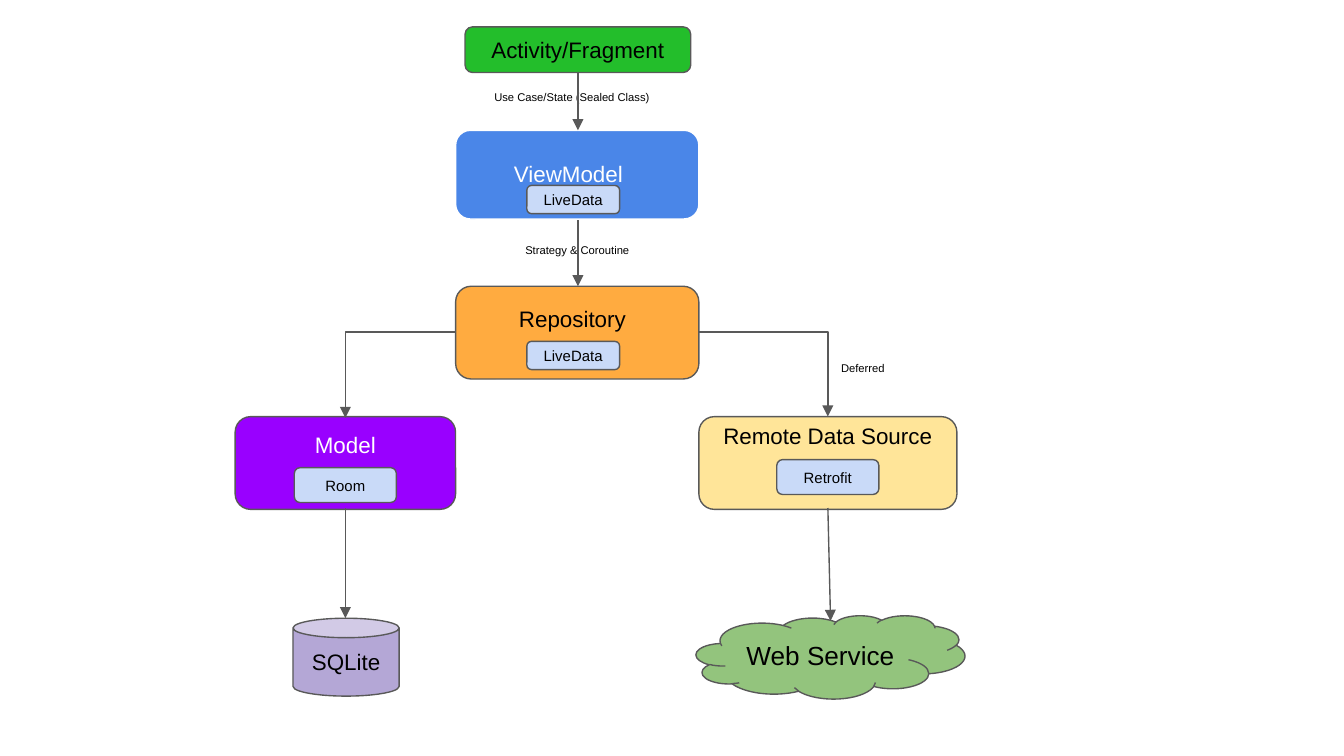
from collections import namedtuple

from lxml import etree
from pptx import Presentation
from pptx.dml.color import RGBColor
from pptx.enum.shapes import MSO_CONNECTOR, MSO_SHAPE
from pptx.enum.text import MSO_ANCHOR, MSO_AUTO_SIZE, PP_ALIGN
from pptx.oxml.ns import qn
from pptx.util import Emu, Pt

PX = 9144  # 100 px to the inch
INSET = 10
FONT = "Arial"
ROUNDED, CAN, CLOUD = MSO_SHAPE.ROUNDED_RECTANGLE, MSO_SHAPE.CAN, MSO_SHAPE.CLOUD
STRAIGHT, ELBOW = MSO_CONNECTOR.STRAIGHT, MSO_CONNECTOR.ELBOW
CENTER, LEFT = PP_ALIGN.CENTER, PP_ALIGN.LEFT
MIDDLE, TOP = MSO_ANCHOR.MIDDLE, MSO_ANCHOR.TOP
FIXED_SIZE = MSO_AUTO_SIZE.NONE
BLANK_LAYOUT = 6

COLORS = {
    "black": "000000", "white": "FFFFFF", "outline": "595959",
    "view": "23BE2B", "view_model": "4A86E8", "repository": "FFAB40",
    "model": "9900FF", "remote": "FFE599", "library": "C9DAF8",
    "database": "B4A7D6", "web": "93C47D",
}

Box = namedtuple("Box", "left top width height")


def color(name):
    return RGBColor.from_string(COLORS[name])


def emu(*lengths):
    return [Emu(length * PX) for length in lengths]


def within(box, left, top, width, height):
    """Turn a place relative to a box into a place on the page."""
    return Box(box.left + left, box.top + top, width, height)


def write(shape, text, size, ink="black", align=CENTER, anchor=MIDDLE):
    frame = shape.text_frame
    frame.word_wrap = True
    frame.auto_size = FIXED_SIZE
    frame.vertical_anchor = anchor
    frame.margin_left, frame.margin_right = emu(INSET, INSET)
    frame.margin_top, frame.margin_bottom = emu(INSET, INSET)
    para = frame.paragraphs[0]
    para.alignment = align
    span = para.add_run()
    span.text = text
    span.font.name = FONT
    span.font.size = Pt(size)
    span.font.color.rgb = color(ink)


def draw_shape(page, kind, box, fill, outline="outline"):
    shape = page.shapes.add_shape(kind, *emu(*box))
    shape.shadow.inherit = False
    shape.fill.solid()
    shape.fill.fore_color.rgb = color(fill)
    shape.line.color.rgb = color(outline)
    shape.line.width = Pt(0.75)
    return shape


def draw_text(page, box, text, size, ink="black", align=LEFT):
    write(page.shapes.add_textbox(*emu(*box)), text, size, ink, align, TOP)


def draw_arrow(page, start, end, kind=STRAIGHT):
    arrow = page.shapes.add_connector(kind, *emu(*start, *end))
    arrow.line.color.rgb = color("outline")
    arrow.line.width = Pt(0.75)
    properties = arrow._element.spPr
    if kind == ELBOW:  # a single bend
        properties.find(qn("a:prstGeom")).set("prst", "bentConnector2")
    tip = etree.SubElement(properties.find(qn("a:ln")), qn("a:tailEnd"))
    tip.set("type", "triangle")
    etree.SubElement(properties, qn("a:effectLst"))


def draw_component(page, box, fill, title, title_place, library, library_place,
                   ink="black", outline="outline"):
    """A rounded block with a heading and the library it uses."""
    draw_shape(page, ROUNDED, box, fill, outline)
    draw_text(page, within(box, *title_place), title, 12, ink, CENTER)
    chip = draw_shape(page, ROUNDED, within(box, *library_place), "library")
    write(chip, library, 8)


def draw_presentation_layer(page, box):
    view = draw_shape(page, ROUNDED, within(box, 7, 0, 168, 34), "view")
    write(view, "Activity/Fragment", 12)
    draw_component(page, within(box, 0, 77, 181, 66), "view_model",
                   "ViewModel", (19, 12, 130, 26),
                   "LiveData", (53, 41, 69, 21), "white", "white")
    draw_text(page, within(box, 19, 37, 164, 23), "Use Case/State (Sealed Class)", 6)


def draw_data_layer(page, box):
    draw_component(page, within(box, 164, 0, 181, 69), "repository",
                   "Repository", (22, 4, 130, 37), "LiveData", (53, 41, 69, 21))
    draw_component(page, within(box, 0, 97, 164, 69), "model",
                   "Model", (17, 1, 130, 37), "Room", (44, 38, 76, 26), "white")
    draw_component(page, within(box, 345, 97, 192, 69), "remote",
                   "Remote Data Source", (8, -6, 176, 26),
                   "Retrofit", (58, 32, 76, 26))
    draw_text(page, within(box, 206, -42, 112, 23), "Strategy & Coroutine", 6)
    draw_text(page, within(box, 441, 46, 63, 23), "Deferred", 6)


def draw_storage_layer(page, box):
    database = draw_shape(page, CAN, within(box, 0, 2, 79, 58), "database")
    write(database, "SQLite", 12)
    web = draw_shape(page, CLOUD, within(box, 300, 0, 200, 62), "web")
    write(web, "Web Service", 14, align=LEFT)


def draw_flow(page):
    center, model, remote = 430, 257, 616
    draw_arrow(page, (center, 54), (center, 97))
    draw_arrow(page, (center, 164), (center, 213))
    draw_arrow(page, (339, 247), (model, 311), ELBOW)
    draw_arrow(page, (520, 247), (remote, 310), ELBOW)
    draw_arrow(page, (model, 378), (model, 460))
    draw_arrow(page, (remote, 378), (remote + 2, 462))


def main():
    deck = Presentation()
    deck.slide_width = Emu(1000 * PX)
    deck.slide_height = Emu(deck.slide_width * 9 // 16)
    page = deck.slides.add_slide(deck.slide_layouts[BLANK_LAYOUT])
    draw_presentation_layer(page, Box(339, 20, 181, 143))
    draw_data_layer(page, Box(175, 213, 537, 166))
    draw_storage_layer(page, Box(218, 458, 500, 62))
    draw_flow(page)
    deck.save("out.pptx")


if __name__ == "__main__":
    main()
